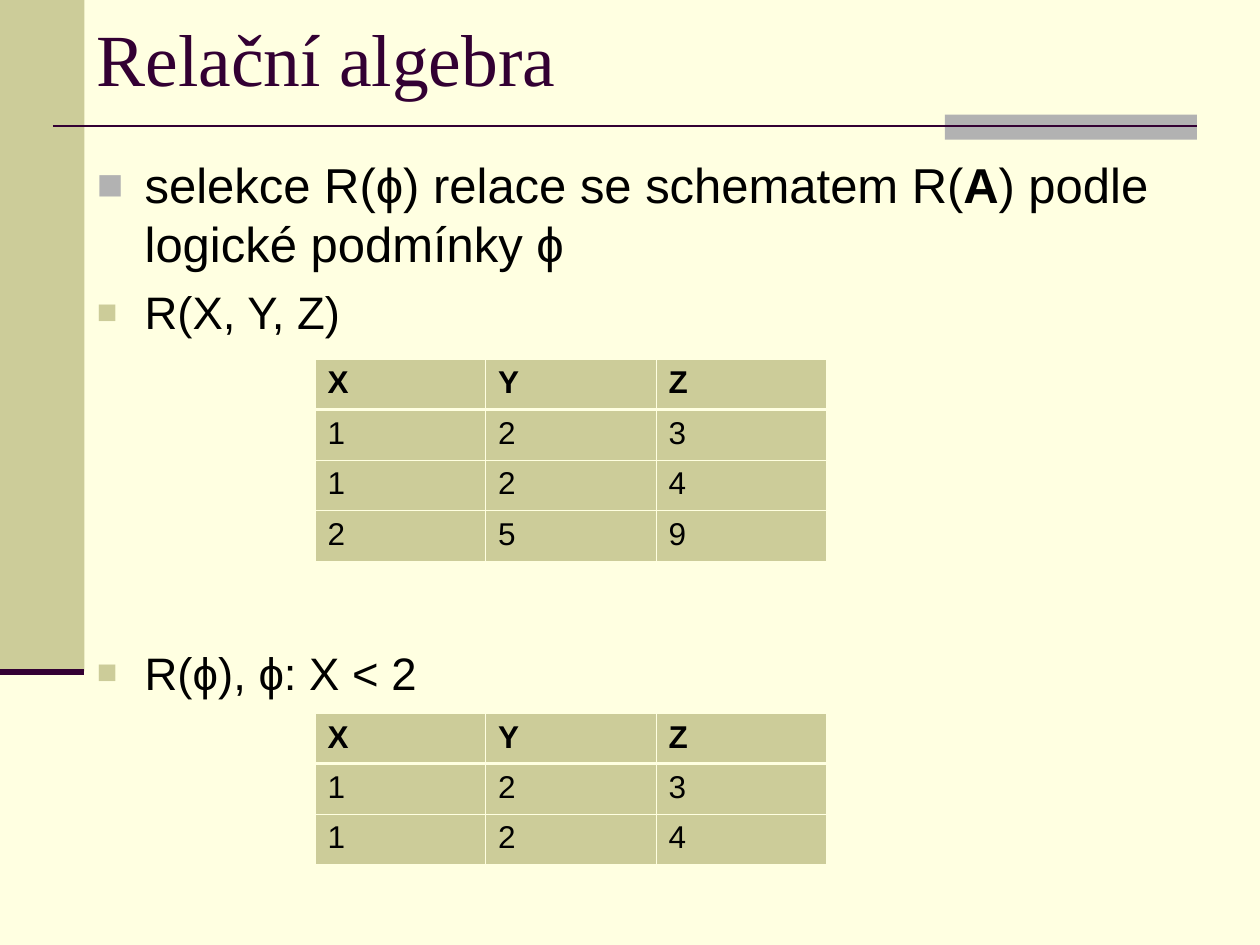
from lxml import etree
from pptx import Presentation
from pptx import util as u
from pptx.dml.color import RGBColor
from pptx.enum import shapes, text
from pptx.oxml import ns

CREAM, KHAKI, GREY, PLUM, BLACK = "FFFFE1", "CCCC99", "B2B2B2", "330033", "000000"
INDENT = 0.38
THIN, THICK = 0.45, 1.47


def rgb(value):
    return RGBColor.from_string(value)


def sub(parent, tag, **attrs):
    return etree.SubElement(parent, ns.qn(tag), attrs)


def style(r, size, color=BLACK, name="Arial", bold=False):
    r.font.size = u.Pt(size)
    r.font.name = name
    r.font.bold = bold
    r.font.color.rgb = rgb(color)


def add_rect(slide, left, top, width, height, color):
    sp = slide.shapes.add_shape(shapes.MSO_SHAPE.RECTANGLE, u.Inches(left), u.Inches(top),
                                u.Inches(width), u.Inches(height))
    sp.shadow.inherit = False
    sp.fill.solid()
    sp.fill.fore_color.rgb = rgb(color)
    sp.line.fill.background()


def add_rule(slide, left, right, y, weight):
    """Draw a horizontal plum line."""
    line = slide.shapes.add_connector(shapes.MSO_CONNECTOR.STRAIGHT, u.Inches(left), u.Inches(y),
                                      u.Inches(right), u.Inches(y))
    line.line.color.rgb = rgb(PLUM)
    line.line.width = u.Pt(weight)
    sub(line._element.spPr, "a:effectLst")


def add_text_box(slide, left, top, width, height, anchor):
    tf = slide.shapes.add_textbox(u.Inches(left), u.Inches(top), u.Inches(width),
                                  u.Inches(height)).text_frame
    tf.word_wrap = True
    tf.vertical_anchor = anchor
    return tf


def add_title(slide, title):
    tf = add_text_box(slide, 0.67, 0, 9.33, 0.91, text.MSO_ANCHOR.MIDDLE)
    tf.text = title
    style(tf.paragraphs[0].runs[0], 42, PLUM, "Times New Roman")


def set_bullet(p, color, percent):
    pPr = p._p.get_or_add_pPr()
    pPr.set("marL", str(u.Inches(INDENT)))
    pPr.set("indent", str(-u.Inches(INDENT)))
    sub(sub(pPr, "a:buClr"), "a:srgbClr", val=color)
    sub(pPr, "a:buSzPct", val=str(percent * 1000))
    sub(pPr, "a:buFont", typeface="Arial")
    sub(pPr, "a:buChar", char="■")


def add_bullets(slide, items):
    """Each item is (runs, size, space before, bullet colour, bullet percent)."""
    tf = add_text_box(slide, 0.67, 1.18, 9.33, 6.32, text.MSO_ANCHOR.TOP)
    for i, (runs, size, before, color, percent) in enumerate(items):
        p = tf.add_paragraph() if i else tf.paragraphs[0]
        set_bullet(p, color, percent)
        p.space_before = u.Pt(before)
        for words, bold in runs:
            r = p.add_run()
            r.text = words
            style(r, size, bold=bold)


def set_borders(cell, weights):
    """Weights are in points, in the order left, right, top, bottom."""
    tcPr = cell._tc.get_or_add_tcPr()
    for i, (side, weight) in enumerate(zip("LRTB", weights)):
        ln = sub(tcPr, f"a:ln{side}", w=str(u.Pt(weight)))
        sub(sub(ln, "a:solidFill"), "a:srgbClr", val=CREAM)
        tcPr.insert(i, ln)


def add_relation(slide, top, rows):
    """Add a table whose first row holds the attribute names."""
    col_width, row_height = u.Inches(4.06 / 3), u.Inches(0.4)
    table = slide.shapes.add_table(len(rows), len(rows[0]), u.Inches(2.5), u.Inches(top),
                                   col_width * len(rows[0]), row_height * len(rows)).table
    table.horz_banding = False
    for i, row in enumerate(rows):
        for j, value in enumerate(row):
            cell = table.cell(i, j)
            cell.text = value
            cell.fill.solid()
            cell.fill.fore_color.rgb = rgb(KHAKI)
            set_borders(cell, (THIN, THIN, THICK if i == 1 else THIN, THICK if i == 0 else THIN))
            style(cell.text_frame.paragraphs[0].runs[0], 18, bold=i == 0)


def main():
    prs = Presentation()
    prs.slide_width, prs.slide_height = u.Inches(10), u.Inches(7.5)
    slide = prs.slides.add_slide(prs.slide_layouts[6])
    slide.background.fill.solid()
    slide.background.fill.fore_color.rgb = rgb(CREAM)

    add_rect(slide, 0, 0, 0.67, 5.33, KHAKI)
    add_rect(slide, 7.5, 0.91, 2, 0.2, GREY)
    add_rule(slide, 0.42, 9.5, 1, 1.5)
    add_rule(slide, 0, 0.67, 5.33, 3.5)

    add_title(slide, "Relační algebra")
    definition = [("selekce R(ϕ) relace se schematem R(", False), ("A", True),
                  (") podle logické podmínky ϕ", False)]
    add_bullets(slide, [
        (definition, 28, 0, GREY, 90),
        ([("R(X, Y, Z)", False)], 26, 6.5, KHAKI, 75),
        ([("R(ϕ), ϕ: X < 2", False)], 26, 175, KHAKI, 75),
    ])

    relation = ["XYZ", "123", "124", "259"]
    add_relation(slide, 2.85, relation)
    add_relation(slide, 5.66, relation[:3])
    prs.save("out.pptx")


if __name__ == "__main__":
    main()
